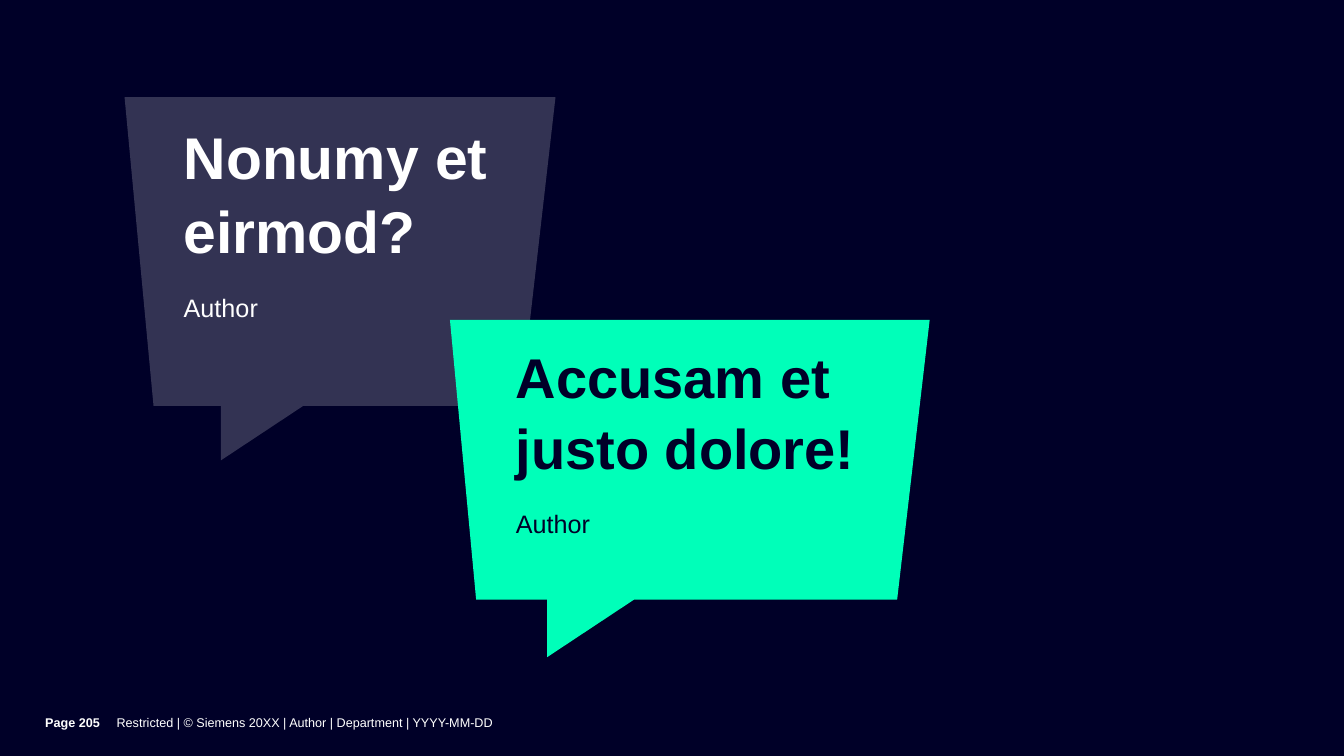
from pptx import Presentation
from pptx.dml.color import RGBColor
from pptx.enum.text import MSO_ANCHOR as Anchor
from pptx.util import Cm, Pt

NAVY, SLATE, MINT, WHITE = "000028", "333353", "00FFB9", "FFFFFF"


def paint(fill, color):
    fill.solid()
    fill.fore_color.rgb = RGBColor.from_string(color)


def add_text(page, text, place, size, color, bold=False, anchor=Anchor.TOP,
             top=0, bottom=0, spacing=1.0):
    box = page.shapes.add_textbox(*[Cm(length) for length in place])
    frame = box.text_frame
    frame.word_wrap = True
    frame.vertical_anchor = anchor
    frame.margin_left = frame.margin_right = 0
    frame.margin_top, frame.margin_bottom = Cm(top), Cm(bottom)
    para = frame.paragraphs[0]
    para.line_spacing = spacing
    span = para.add_run()
    span.text = text
    span.font.name = "Arial"
    span.font.size = Pt(size)
    span.font.bold = bold
    span.font.color.rgb = RGBColor.from_string(color)


deck = Presentation()
deck.slide_width, deck.slide_height = Cm(33.87), Cm(19.05)
page = deck.slides.add_slide(deck.slide_layouts[6])
paint(page.background.fill, NAVY)

bubbles = [
    (SLATE, [(3.14, 2.45), (14, 2.45), (13.11, 10.23), (7.64, 10.23),
             (5.57, 11.6), (5.57, 10.23), (3.87, 10.23)]),
    (MINT, [(11.34, 8.06), (23.43, 8.06), (22.61, 15.11), (15.98, 15.11),
            (13.79, 16.56), (13.79, 15.11), (12, 15.11)]),
]
for color, corners in bubbles:
    points = [(Cm(x), Cm(y)) for x, y in corners]
    outline = page.shapes.build_freeform(*points[0])
    outline.add_line_segments(points[1:], close=True)
    bubble = outline.convert_to_shape()
    bubble.shadow.inherit = False
    paint(bubble.fill, color)
    bubble.line.fill.background()

quotes = [
    ("Nonumy et eirmod?", 4.63, 2.95, 9.02, 3.59, 42, WHITE),
    ("Accusam et justo dolore!", 13, 8.56, 9.2, 3.43, 40, NAVY),
]
for quote, left, top, width, height, size, color in quotes:
    add_text(page, quote, (left, top, width, height), size, color, bold=True, spacing=1.05)
    add_text(page, "Author", (left, top + height, 6, 1.58), 18, color,
             anchor=Anchor.BOTTOM, top=0.79)

footers = [
    ("Restricted | © Siemens 20XX | Author | Department | YYYY-MM-DD", 2.94, 25.6, False),
    ("Page 205", 1.14, 1.8, True),
]
for text, left, width, bold in footers:
    add_text(page, text, (left, 17.53, width, 1.52), 9, WHITE, bold=bold,
             anchor=Anchor.MIDDLE, bottom=0.18)

deck.save("out.pptx")
